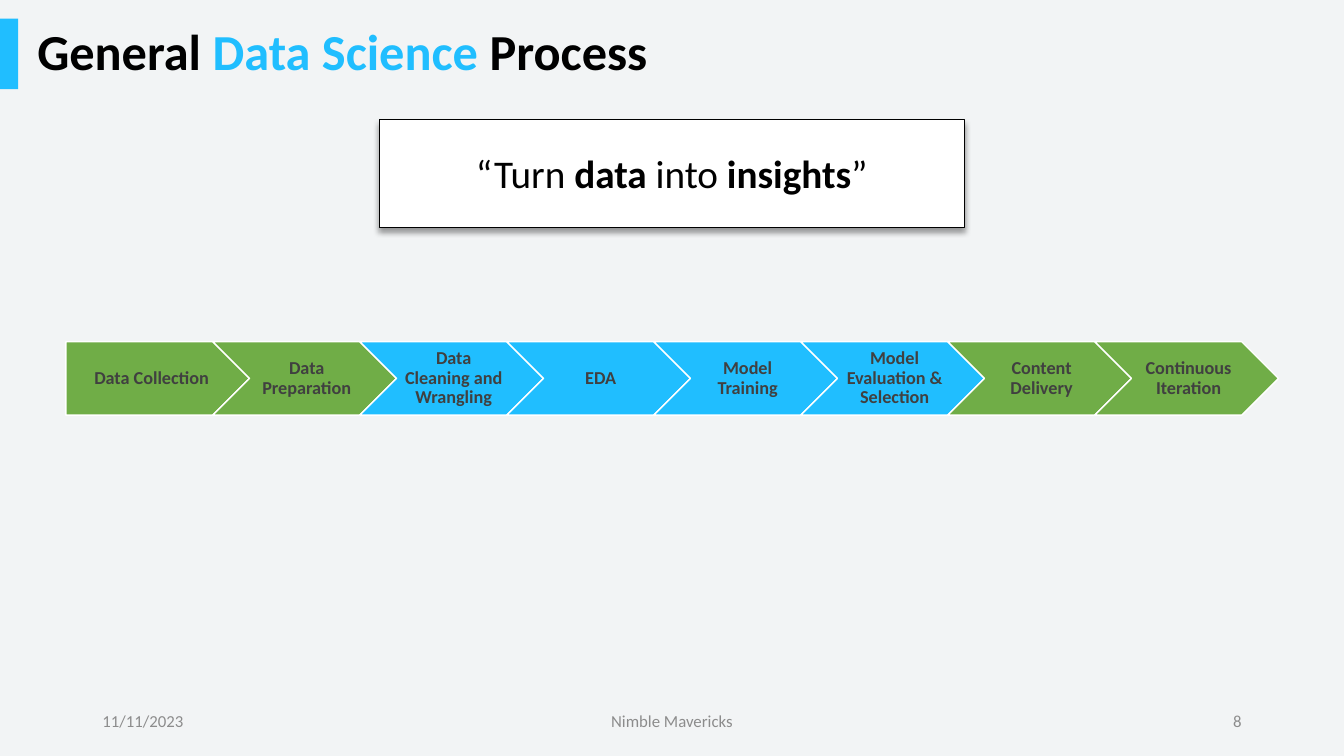
from typing import NamedTuple

from lxml import etree
from pptx import Presentation
from pptx.dml.color import RGBColor
from pptx.enum.shapes import MSO_SHAPE
from pptx.enum.text import MSO_ANCHOR, PP_ALIGN
from pptx.oxml.ns import qn
from pptx.util import Cm, Pt

RECTANGLE, PENTAGON, CHEVRON = MSO_SHAPE.RECTANGLE, MSO_SHAPE.PENTAGON, MSO_SHAPE.CHEVRON
LEFT, CENTER, RIGHT = PP_ALIGN.LEFT, PP_ALIGN.CENTER, PP_ALIGN.RIGHT
MIDDLE = MSO_ANCHOR.MIDDLE

FONT = "Calibri"
BLUE, GREEN = "20BEFF", "70AD47"
BLACK, WHITE = "000000", "FFFFFF"
BACKGROUND, LABEL_GRAY, FOOTER_GRAY = "F2F4F5", "404040", "8C8C8C"


class Box(NamedTuple):
    """Left, top, width and height in centimetres."""
    left: float
    top: float
    width: float
    height: float

    def lengths(self) -> list[Cm]:
        return [Cm(value) for value in self]


class Run(NamedTuple):
    text: str
    color: str = BLACK
    bold: bool = False


class Step(NamedTuple):
    label: str
    color: str


class Footer(NamedTuple):
    text: str
    left: float
    width: float
    align: PP_ALIGN


def rgb(color: str) -> RGBColor:
    return RGBColor.from_string(color)


def write_text(shape, runs: list[Run], *, size: float, align=LEFT,
               line_spacing: float = 1.0, insets=(0.25, 0.13, 0.25, 0.13)) -> None:
    frame = shape.text_frame
    frame.word_wrap = True
    frame.vertical_anchor = MIDDLE
    (frame.margin_left, frame.margin_top,
     frame.margin_right, frame.margin_bottom) = [Cm(inset) for inset in insets]
    paragraph = frame.paragraphs[0]
    paragraph.alignment = align
    paragraph.line_spacing = line_spacing
    for item in runs:
        run = paragraph.add_run()
        run.text = item.text
        run.font.name = FONT
        run.font.size = Pt(size)
        run.font.bold = item.bold
        run.font.color.rgb = rgb(item.color)


def add_box(shapes, kind, box: Box, fill: str, line: str = "", line_width: float = 1):
    shape = shapes.add_shape(kind, *box.lengths())
    shape.shadow.inherit = False
    shape.fill.solid()
    shape.fill.fore_color.rgb = rgb(fill)
    if line:
        shape.line.color.rgb = rgb(line)
        shape.line.width = Pt(line_width)
    else:
        shape.line.fill.background()
    return shape


def add_drop_shadow(shape, *, blur: float, distance: float, opacity: int) -> None:
    effects = shape.element.spPr.find(qn("a:effectLst"))
    shadow = etree.SubElement(effects, qn("a:outerShdw"), blurRad=str(Pt(blur)),
                              dist=str(Pt(distance)), dir="5400000", rotWithShape="0")
    color = etree.SubElement(shadow, qn("a:srgbClr"), val=BLACK)
    etree.SubElement(color, qn("a:alpha"), val=str(opacity * 1000))


presentation = Presentation()
presentation.slide_width, presentation.slide_height = Cm(33.87), Cm(19.05)
slide = presentation.slides.add_slide(presentation.slide_layouts[6])
slide.background.fill.solid()
slide.background.fill.fore_color.rgb = rgb(BACKGROUND)

# Title with accent bar
title = slide.shapes.add_textbox(*Box(0.69, 0.47, 26.24, 1.78).lengths())
write_text(title, [Run("General ", BLACK, True), Run("Data Science ", BLUE, True),
                   Run("Process", BLACK, True)], size=36, line_spacing=0.9)
add_box(slide.shapes, RECTANGLE, Box(0, 0.47, 0.46, 1.78), BLUE)

# Footer
FOOTERS = [
    Footer("11/11/2023", 2.33, 7.62, LEFT),
    Footer("Nimble Mavericks", 11.22, 11.43, CENTER),
    Footer("8", 23.92, 7.62, RIGHT),
]
for footer in FOOTERS:
    box = Box(footer.left, 17.66, footer.width, 1.01)
    write_text(slide.shapes.add_textbox(*box.lengths()),
               [Run(footer.text, FOOTER_GRAY)], size=12, align=footer.align)

# Process chain: each arrow overlaps the next by a fifth of its width
STEPS = [
    Step("Data Collection", GREEN),
    Step("Data Preparation", GREEN),
    Step("Data Cleaning and Wrangling", BLUE),
    Step("EDA", BLUE),
    Step("Model Training", BLUE),
    Step("Model Evaluation & Selection", BLUE),
    Step("Content Delivery", GREEN),
    Step("Continuous Iteration", GREEN),
]
CHAIN_LEFT, CHAIN_TOP = 1.66, 8.61
STEP_WIDTH = 4.63
STEP_HEIGHT = 0.4 * STEP_WIDTH
STEP_PITCH = 0.8 * STEP_WIDTH
POINT = STEP_HEIGHT / 2

chain = slide.shapes.add_group_shape().shapes
for index, step in enumerate(STEPS):
    first = index == 0
    left = CHAIN_LEFT + index * STEP_PITCH
    add_box(chain, PENTAGON if first else CHEVRON,
            Box(left, CHAIN_TOP, STEP_WIDTH, STEP_HEIGHT), step.color, WHITE)
    # Labels keep clear of the notch and the point
    if first:
        label_box = Box(left, CHAIN_TOP, STEP_WIDTH - POINT / 2, STEP_HEIGHT)
    else:
        label_box = Box(left + POINT, CHAIN_TOP, STEP_WIDTH - 2 * POINT, STEP_HEIGHT)
    write_text(chain.add_textbox(*label_box.lengths()),
               [Run(step.label, LABEL_GRAY, True)], size=13, align=CENTER,
               line_spacing=0.9, insets=(0.2 if first else 0.15, 0.1, 0.05, 0.1))

# Motto
motto = add_box(slide.shapes, RECTANGLE, Box(9.55, 3, 14.76, 2.72), WHITE, BLACK, 0.5)
add_drop_shadow(motto, blur=4, distance=3, opacity=40)
write_text(motto, [Run("“Turn "), Run("data", bold=True), Run(" into "),
                   Run("insights", bold=True), Run("”")], size=28, align=CENTER)

presentation.save("out.pptx")
